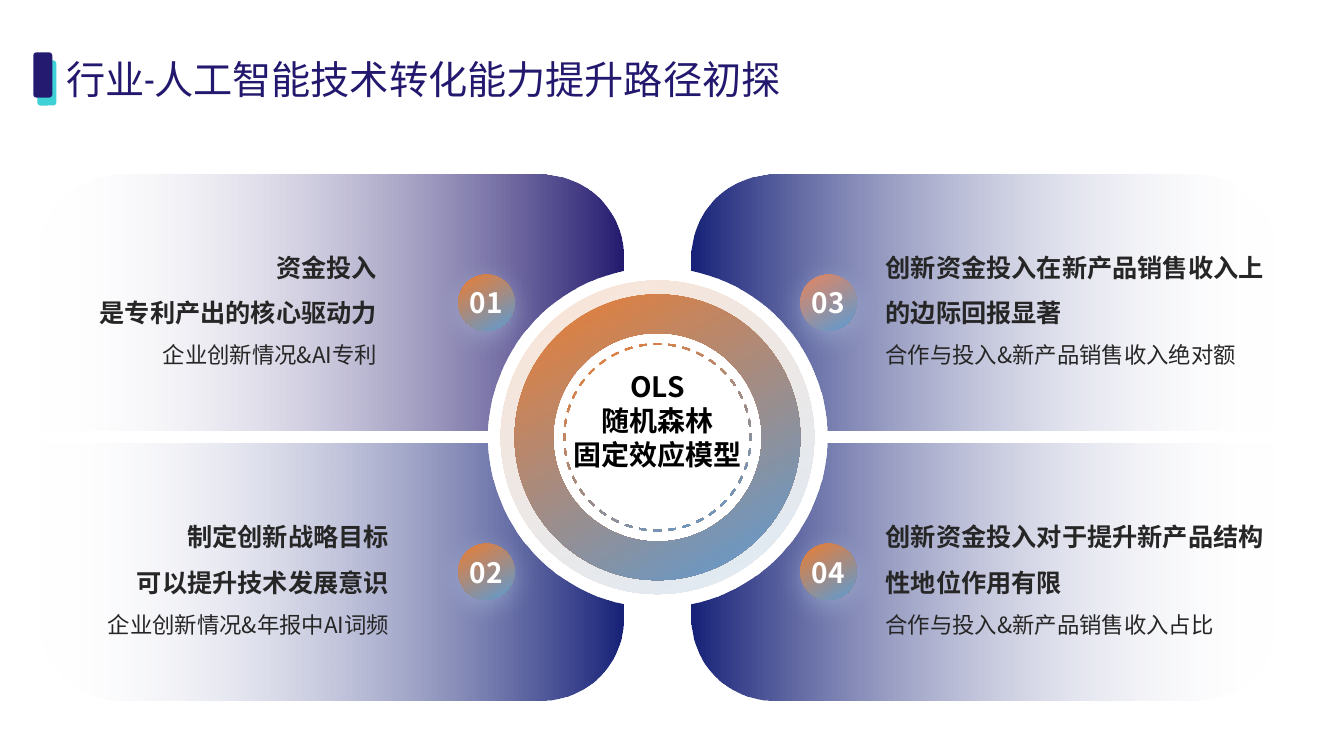
from math import acos, asin, cos, degrees, radians, sin

from lxml import etree
from pptx import Presentation
from pptx.dml.color import RGBColor
from pptx.enum import shapes, text
from pptx.oxml import ns
from pptx.util import Cm, Pt

NAVY = RGBColor(0x17, 0x22, 0x78)
PURPLE = RGBColor(0x24, 0x1B, 0x70)
TITLE = RGBColor(0x22, 0x19, 0x6E)
TEAL = RGBColor(0x3E, 0xD1, 0xD5)
ORANGE = RGBColor(0xED, 0x7D, 0x31)
CORAL = RGBColor(0xE6, 0x85, 0x5E)
BLUE = RGBColor(0x5B, 0x9B, 0xD5)
GLOW = RGBColor(0xBD, 0xD7, 0xEE)
INK = RGBColor(0x26, 0x26, 0x26)
BLACK = RGBColor(0, 0, 0)
WHITE = RGBColor(0xFF, 0xFF, 0xFF)
SANS = "Noto Sans CJK SC"
CENTER_X, CENTER_Y = 16.57, 11.02


def write(box, lines, *, sizes, bolds, color, font=SANS, align=text.PP_ALIGN.CENTER,
          spacing=None, margins=(0, 0, 0, 0), wrap=True):
    frame = box.text_frame
    frame.auto_size = text.MSO_AUTO_SIZE.NONE
    frame.word_wrap = wrap
    frame.vertical_anchor = text.MSO_ANCHOR.MIDDLE
    (frame.margin_left, frame.margin_top,
     frame.margin_right, frame.margin_bottom) = [Cm(margin) for margin in margins]
    frame.text = "\n".join(lines)
    for para, size, bold in zip(frame.paragraphs, sizes, bolds):
        para.alignment = align
        para.line_spacing = spacing
        span = para.runs[0]
        span.font.name = font
        span.font.size = Pt(size)
        span.font.bold = bold
        span.font.color.rgb = color
        etree.SubElement(span.font._element, ns.qn("a:ea"), typeface=font)


def blend(shape, colors, angle, alphas=(100, 100)):
    shape.shadow.inherit = False
    shape.line.fill.background()
    shape.fill.gradient()
    shape.fill.gradient_angle = angle
    for stop, color in zip(shape.fill.gradient_stops, colors):
        stop.color.rgb = color
    tints = shape.fill._xPr.iter(ns.qn("a:srgbClr"))
    for tint, alpha in zip(list(tints), alphas):
        if alpha < 100:
            etree.SubElement(tint, ns.qn("a:alpha"), val=str(alpha * 1000))


deck = Presentation()
deck.slide_width, deck.slide_height = Cm(33.87), Cm(19.05)
page = deck.slides.add_slide(deck.slide_layouts[5])

title = page.shapes.title
title.left, title.top, title.width, title.height = Cm(1.42), Cm(1.27), Cm(25), Cm(1.45)
write(title, ["行业-人工智能技术转化能力提升路径初探"], sizes=[28], bolds=[False],
      color=TITLE, font="Roboto Condensed", align=text.PP_ALIGN.LEFT,
      margins=(0.25, 0.13, 0.25, 0.13))

for left, top, color in [(0.94, 1.52, TEAL), (0.84, 1.32, PURPLE)]:
    marker = page.shapes.add_shape(shapes.MSO_SHAPE.ROUNDED_RECTANGLE,
                                   Cm(left), Cm(top), Cm(0.48), Cm(1.14))
    marker.shadow.inherit = False
    marker.fill.solid()
    marker.fill.fore_color.rgb = color
    marker.line.fill.background()

INNER, OUTER, NEAR, FAR = 0.85, 15.59, 0.17, 6.62
CORNER, NOTCH = 2.08, 4.28
panel_arcs = [
    (OUTER, NEAR, 0, 0, 0),
    (OUTER, FAR, 0, 0, 0),
    (INNER + CORNER, FAR - CORNER, CORNER, 90, 180),
    (0, 0, NOTCH, degrees(acos(INNER / NOTCH)), degrees(asin(NEAR / NOTCH))),
]
panel_arcs[1] = (OUTER - CORNER, FAR - CORNER, CORNER, 0, 90)
STEPS = 24
outline = [
    (x + radius * cos(radians(start + (end - start) * step / STEPS)),
     y + radius * sin(radians(start + (end - start) * step / STEPS)))
    for x, y, radius, start, end in panel_arcs
    for step in range(STEPS + 1)
]

panels = [
    ("01", -1, -1, PURPLE, ORANGE, 6.22,
     ["资金投入", "是专利产出的核心驱动力", "企业创新情况&AI专利"]),
    ("02", -1, 1, NAVY, ORANGE, 5.92,
     ["制定创新战略目标", "可以提升技术发展意识", "企业创新情况&年报中AI词频"]),
    ("03", 1, -1, NAVY, CORAL, 4.9,
     ["创新资金投入在新产品销售收入上的边际回报显著", "合作与投入&新产品销售收入绝对额"]),
    ("04", 1, 1, NAVY, ORANGE, 4.9,
     ["创新资金投入对于提升新产品结构性地位作用有限", "合作与投入&新产品销售收入占比"]),
]
for number, side, level, color, accent, inset, lines in panels:
    points = [(Cm(CENTER_X + side * x), Cm(CENTER_Y + level * y)) for x, y in outline]
    builder = page.shapes.build_freeform(*points[0])
    builder.add_line_segments(points[1:], close=True)
    panel = builder.convert_to_shape()
    on_right = side > 0
    order = 1 if on_right else -1
    blend(panel, (color, WHITE)[::order], 0, (100, 0)[::order])
    headings = len(lines) - 1
    write(panel, lines, sizes=[18] * headings + [16], bolds=[True] * headings + [False],
          color=INK, spacing=1.5,
          align=text.PP_ALIGN.LEFT if on_right else text.PP_ALIGN.RIGHT,
          margins=(inset, 0.13, 0.25, 0.13) if on_right else (0.25, 0.13, inset, 0.13))

    badge = page.shapes.add_shape(
        shapes.MSO_SHAPE.OVAL, Cm(CENTER_X + side * 4.31 - 0.71),
        Cm(CENTER_Y + level * 3.39 - 0.71), Cm(1.42), Cm(1.42))
    blend(badge, (accent, BLUE), 300)
    effects = badge._element.spPr.find(ns.qn("a:effectLst"))
    shadow = etree.SubElement(effects, ns.qn("a:outerShdw"), blurRad=str(Pt(20)),
                              dist=str(Pt(4)), dir="5400000", algn="ctr", rotWithShape="0")
    tint = etree.SubElement(shadow, ns.qn("a:srgbClr"), val=str(GLOW))
    etree.SubElement(tint, ns.qn("a:alpha"), val="40000")
    write(badge, [number], sizes=[20], bolds=[True], color=WHITE, wrap=False)

for diameter, alpha in [(7.9, 20), (7.2, 100)]:
    ring = page.shapes.add_shape(
        shapes.MSO_SHAPE.DONUT, Cm(CENTER_X - diameter / 2), Cm(CENTER_Y - diameter / 2),
        Cm(diameter), Cm(diameter))
    ring.adjustments[0] = 0.135
    blend(ring, (ORANGE, BLUE), 300, (alpha, alpha))

dashes = []
for middle in range(0, 360, 9):
    turns = [radians(middle + offset) for offset in (-2.25, 0, 2.25)]
    edge = [(2.37, turn) for turn in turns] + [(2.33, turn) for turn in turns[::-1]]
    dashes.append([(Cm(CENTER_X + radius * cos(turn)), Cm(CENTER_Y + radius * sin(turn)))
                   for radius, turn in edge])
builder = page.shapes.build_freeform(*dashes[0][0])
for index, dash in enumerate(dashes):
    if index:
        builder.move_to(*dash[0])
    builder.add_line_segments(dash[1:], close=True)
hub = builder.convert_to_shape()
blend(hub, (ORANGE, BLUE), 300)
write(hub, ["OLS", "随机森林", "固定效应模型"], sizes=[20] * 3, bolds=[True] * 3,
      color=BLACK, margins=(0, 0, 0, 0.86))

deck.save("out.pptx")
